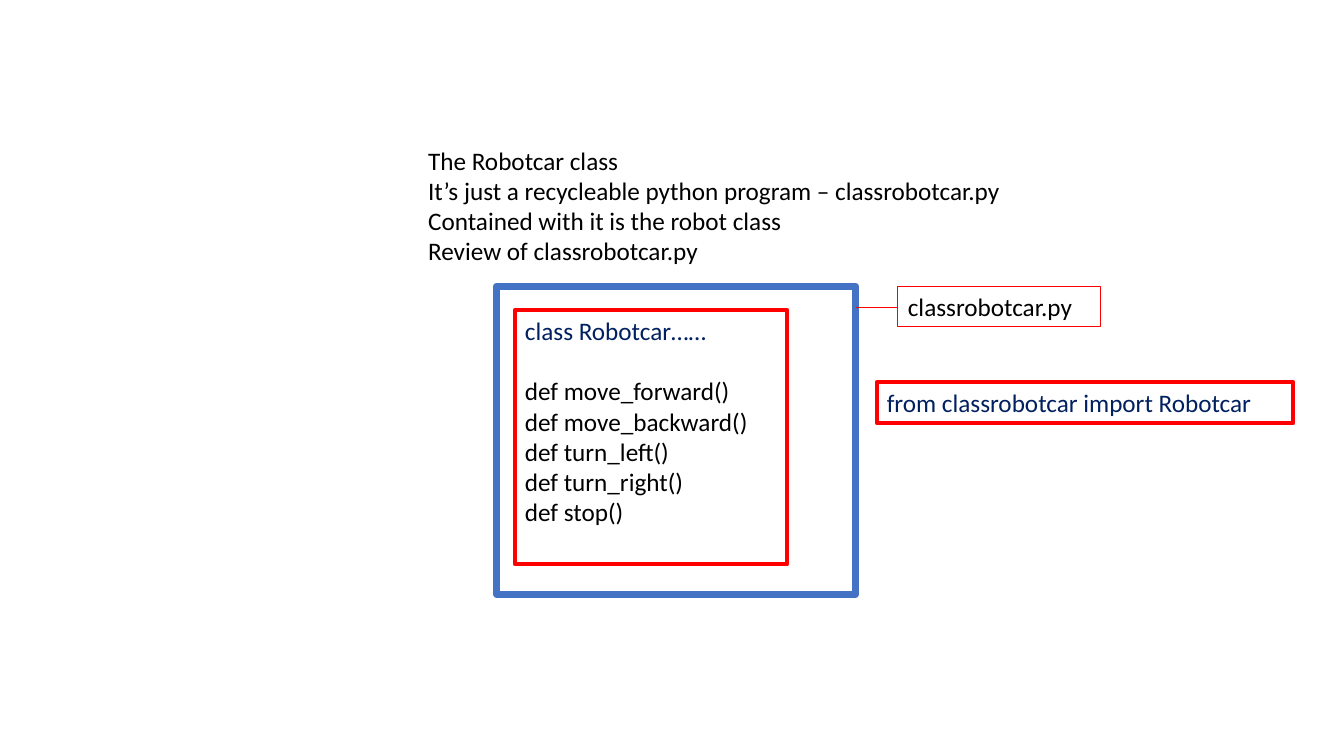
from pptx import Presentation
from pptx import util as u
from pptx.dml import color
from pptx.enum import shapes, text
from pptx.oxml import ns
from lxml import etree

RED, BLUE, NAVY, BLACK = "FF0000", "4472C4", "002060", "000000"


def rgb(code):
    return color.RGBColor.from_string(code)


def apply(target, values):
    for name, value in values.items():
        setattr(target, name, value)


class Board:
    font = {"name": "Calibri", "size": u.Pt(18)}
    frame = {
        "auto_size": text.MSO_AUTO_SIZE.NONE,
        "vertical_anchor": text.MSO_ANCHOR.TOP,
    }

    def __init__(self, slide):
        self.slide = slide

    def fill(self, shape, lines, wrap=True, gap=0):
        body = shape.text_frame
        apply(body, {**self.frame, "word_wrap": wrap})
        for i, (words, ink) in enumerate(lines):
            para = body.paragraphs[0] if i == 0 else body.add_paragraph()
            para.alignment = text.PP_ALIGN.LEFT
            run = para.add_run()
            run.text = words
            apply(run.font, self.font)
            run.font.color.rgb = rgb(ink)
        if gap:
            body.paragraphs[0].space_after = u.Pt(gap)

    def label(self, place, lines):
        box = self.slide.shapes.add_textbox(*map(u.Cm, place))
        self.fill(box, lines, wrap=False)

    def box(self, place, edge, width, lines=(), gap=0):
        kind = shapes.MSO_SHAPE.RECTANGLE
        box = self.slide.shapes.add_shape(kind, *map(u.Cm, place))
        box.shadow.inherit = False
        box.fill.background()
        box.line.color.rgb = rgb(edge)
        box.line.width = u.Pt(width)
        self.fill(box, lines, gap=gap)

    def link(self, ends, edge, width):
        kind = shapes.MSO_CONNECTOR.STRAIGHT
        line = self.slide.shapes.add_connector(kind, *map(u.Cm, ends))
        line.line.color.rgb = rgb(edge)
        line.line.width = u.Pt(width)
        etree.SubElement(line._element.spPr, ns.qn("a:effectLst"))


def main():
    deck = Presentation()
    apply(deck, {"slide_width": u.Cm(33.87), "slide_height": u.Cm(19.05)})
    board = Board(deck.slides.add_slide(deck.slide_layouts[6]))

    intro = [
        "The Robotcar class",
        "It’s just a recycleable python program – classrobotcar.py",
        "Contained with it is the robot class",
        "Review of classrobotcar.py",
    ]
    board.label((10.54, 3.53, 15.29, 3.33), [(line, BLACK) for line in intro])

    board.box((12.52, 7.21, 9.04, 7.77), BLUE, 5)
    board.box((22.63, 7.21, 5.11, 1.03), RED, 0.75, [("classrobotcar.py", BLACK)])
    board.link((21.56, 7.74, 22.63, 7.74), RED, 0.5)

    moves = ["move_forward", "move_backward", "turn_left", "turn_right", "stop"]
    code = [("class Robotcar……", NAVY)]
    code += [(f"def {move}()", BLACK) for move in moves]
    board.box((12.98, 7.82, 6.86, 6.4), RED, 3, code, gap=21.6)

    usage = [("from classrobotcar import Robotcar", NAVY)]
    board.box((22.1, 9.63, 10.49, 1.03), RED, 3, usage)

    deck.save("out.pptx")


if __name__ == "__main__":
    main()
